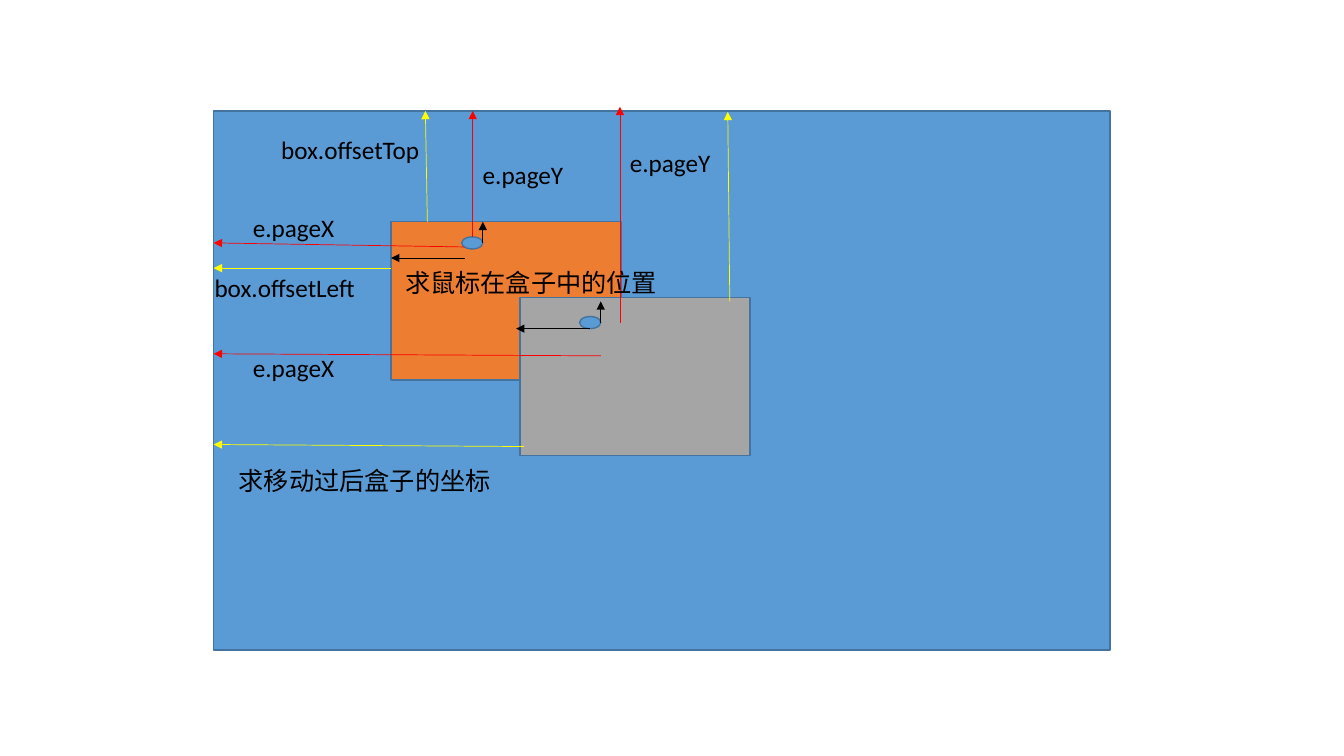
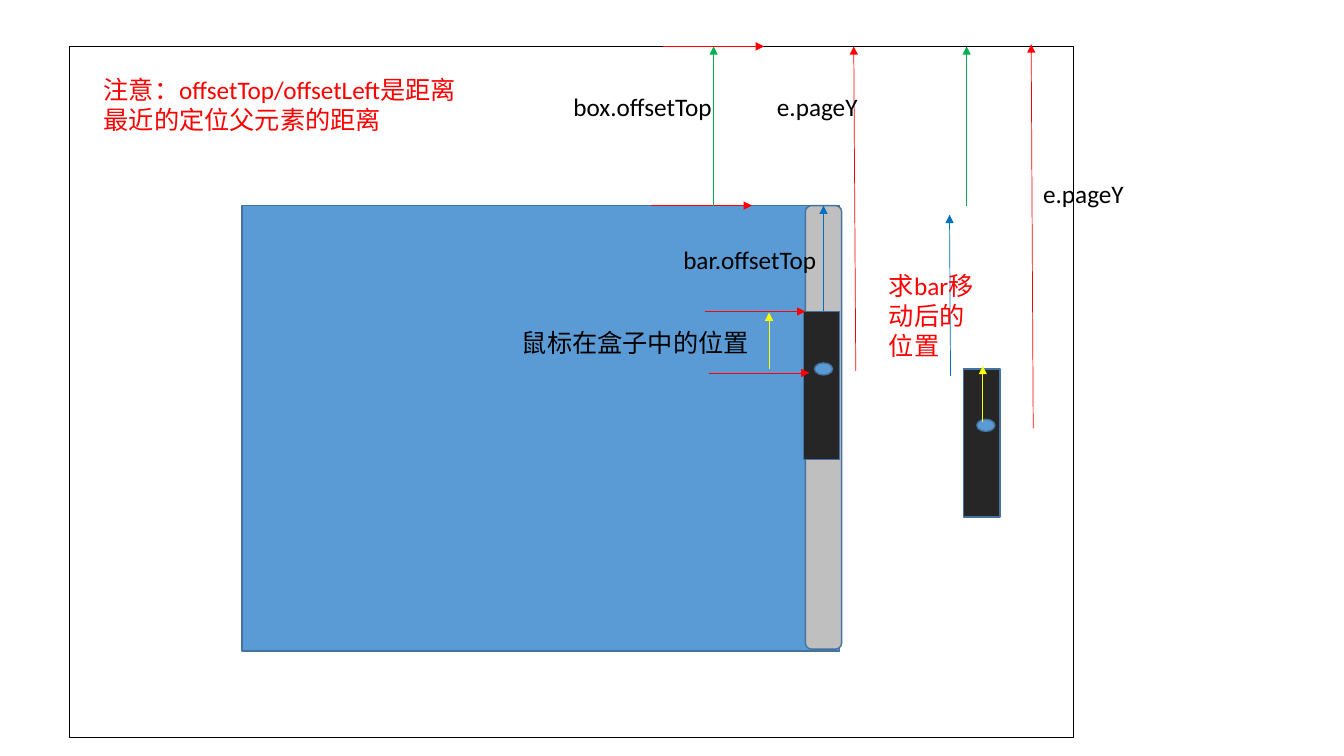
"""Build two diagrams of mouse and box offsets on a grid of tenths of an inch."""
from lxml.etree import SubElement
from pptx import Presentation
from pptx.dml.color import RGBColor
from pptx.enum.shapes import MSO_CONNECTOR as Connector, MSO_SHAPE as Shape
from pptx.enum.text import MSO_AUTO_SIZE as AutoSize
from pptx.oxml.ns import qn
from pptx.util import Inches, Pt

COLUMNS, ROWS = 133.33, 75
FONT, TEXT_SIZE = "Calibri", 18
BLACK, WHITE, RED, YELLOW = "000000", "FFFFFF", "FF0000", "FFFF00"
BLUE, GREEN, SKY, EDGE = "0070C0", "00B050", "5B9BD5", "43739E"
ORANGE, GREY, SILVER, CHARCOAL = "ED7D31", "A5A5A5", "BFBFBF", "262626"
BOX_SIZE = (22.8, 15.7)
BAR_SIZE = (3.6, 14.7)


def color(value):
    """Turn a hex string into a colour."""
    return RGBColor.from_string(value)


def grid(*cells):
    """Turn grid counts into lengths."""
    return [Inches(cell / 10) for cell in cells]


def add_box(page, place, fill, line=EDGE, kind=Shape.RECTANGLE):
    """Draw a filled shape at (left, top, width, height)."""
    box = page.shapes.add_shape(kind, *grid(*place))
    box.shadow.inherit = False
    box.fill.solid()
    box.fill.fore_color.rgb = color(fill)
    box.line.color.rgb = color(line)
    box.line.width = Pt(1)


def add_mouse(page, left, top, width):
    """Draw the mouse as a small ellipse."""
    add_box(page, (left, top, width, 1.2), SKY, kind=Shape.OVAL)


def add_arrows(page, tint, *routes):
    """Draw thin arrows of one colour, each from (x, y) to (x, y)."""
    for route in routes:
        arrow = page.shapes.add_connector(Connector.STRAIGHT, *grid(*route))
        arrow.line.color.rgb = color(tint)
        arrow.line.width = Pt(0.5)
        SubElement(arrow.line._get_or_add_ln(), qn("a:tailEnd"), type="triangle")
        SubElement(arrow._element.spPr, qn("a:effectLst"))


def add_label(page, text, left, top, width, height=4, tint=BLACK):
    """Write a wrapped label."""
    frame = page.shapes.add_textbox(*grid(left, top, width, height)).text_frame
    frame.word_wrap = True
    frame.auto_size = AutoSize.SHAPE_TO_FIT_TEXT
    para = frame.paragraphs[0]
    para.text = text
    para.font.name = FONT
    para.font.size = Pt(TEXT_SIZE)
    para.font.color.rgb = color(tint)


def build_drag_page(page):
    """Show a box before and after it is dragged."""
    left, top = 21.2, 11
    add_box(page, (left, top, 88.9, 53.5), SKY)
    add_box(page, (38.8, 22, *BOX_SIZE), ORANGE)
    add_box(page, (51.6, 29.5, *BOX_SIZE), GREY)
    add_mouse(page, 45.8, 23.5, 2.1)
    add_mouse(page, 57.5, 31.4, 2.1)
    add_arrows(page, RED,
               (46.1, 24.5, left, 24.1), (46.9, 23.5, 46.9, top),
               (59.6, 35.3, left, 35.1), (61.5, 32, 61.5, 10.6))
    add_arrows(page, YELLOW,
               (38.8, 26.6, left, 26.6), (42.4, 22, 42.2, top),
               (52, 44.3, left, 44.1), (72.4, 29.9, 72.2, 11.1))
    add_arrows(page, BLACK,
               (46.1, 25.6, 38.8, 25.6), (47.9, 24.1, 47.9, 22),
               (58.5, 32.6, 51.2, 32.6), (59.6, 32, 59.6, 29.9))
    for label in (("e.pageX", 24.1, 20.6, 12.6),
                  ("e.pageY", 46.9, 15.3, 10.3),
                  ("box.offsetLeft", 20.3, 26.5, 17.2),
                  ("box.offsetTop", 26.9, 12.8, 17.3),
                  ("求鼠标在盒子中的位置", 39.2, 26, 32.1),
                  ("求移动过后盒子的坐标", 22.7, 45.7, 29.7),
                  ("e.pageX", 24.1, 34.5, 14.7),
                  ("e.pageY", 61.5, 14.1, 11.4)):
        add_label(page, *label)


def build_scroll_page(page):
    """Show a scroll bar before and after it is moved."""
    page_top, box_top, bar_top = 4.6, 20.4, 30.9
    add_box(page, (6.9, page_top, 99.6, 68.6), WHITE, BLACK)
    add_box(page, (24, box_top, 59.3, 44.2), SKY)
    add_box(page, (79.9, box_top, 3.6, 44), SILVER, kind=Shape.ROUNDED_RECTANGLE)
    add_box(page, (79.7, bar_top, *BAR_SIZE), CHARCOAL)
    add_box(page, (95.6, 36.6, *BAR_SIZE), CHARCOAL)
    add_mouse(page, 80.8, 36, 1.8)
    add_mouse(page, 96.9, 41.6, 1.8)
    add_arrows(page, RED,
               (84.9, 36.8, 84.7, page_top), (102.5, 42.5, 102.3, 4.4))
    add_arrows(page, RED, *(
        (left, level, left + 10, level) for left, level in
        ((65.8, page_top), (64.6, box_top), (69.9, bar_top), (70.3, 37))))
    add_arrows(page, BLUE,
               (81.7, bar_top, 81.7, box_top), (94.3, 37.3, 94.2, 21.3))
    add_arrows(page, GREEN, *((x, box_top, x, page_top) for x in (70.8, 95.9)))
    add_arrows(page, YELLOW, *(
        (x, start, x, start - 5.6) for x, start in ((76.3, 36.6), (97.5, 41.9))))
    for label in (("e.pageY", 76.1, 8.6, 10.3),
                  ("bar.offsetTop", 66.8, 23.7, 18.5),
                  ("e.pageY", 102.5, 17.2, 10.3),
                  ("鼠标在盒子中的位置", 50.8, 32, 25),
                  ("box.offsetTop", 55.9, 8.6, 16.7),
                  ("求bar移动后的位置", 87.2, 26.3, 10.4, 10.1, RED),
                  ("注意：offsetTop/offsetLeft是距离最近的定位父元素的距离",
                   9.3, 6.9, 37.7, 7.1, RED)):
        add_label(page, *label)


def main():
    """Build the deck and save it."""
    deck = Presentation()
    deck.slide_width, deck.slide_height = grid(COLUMNS, ROWS)
    for build in (build_drag_page, build_scroll_page):
        build(deck.slides.add_slide(deck.slide_layouts[6]))
    deck.save("out.pptx")


if __name__ == "__main__":
    main()
